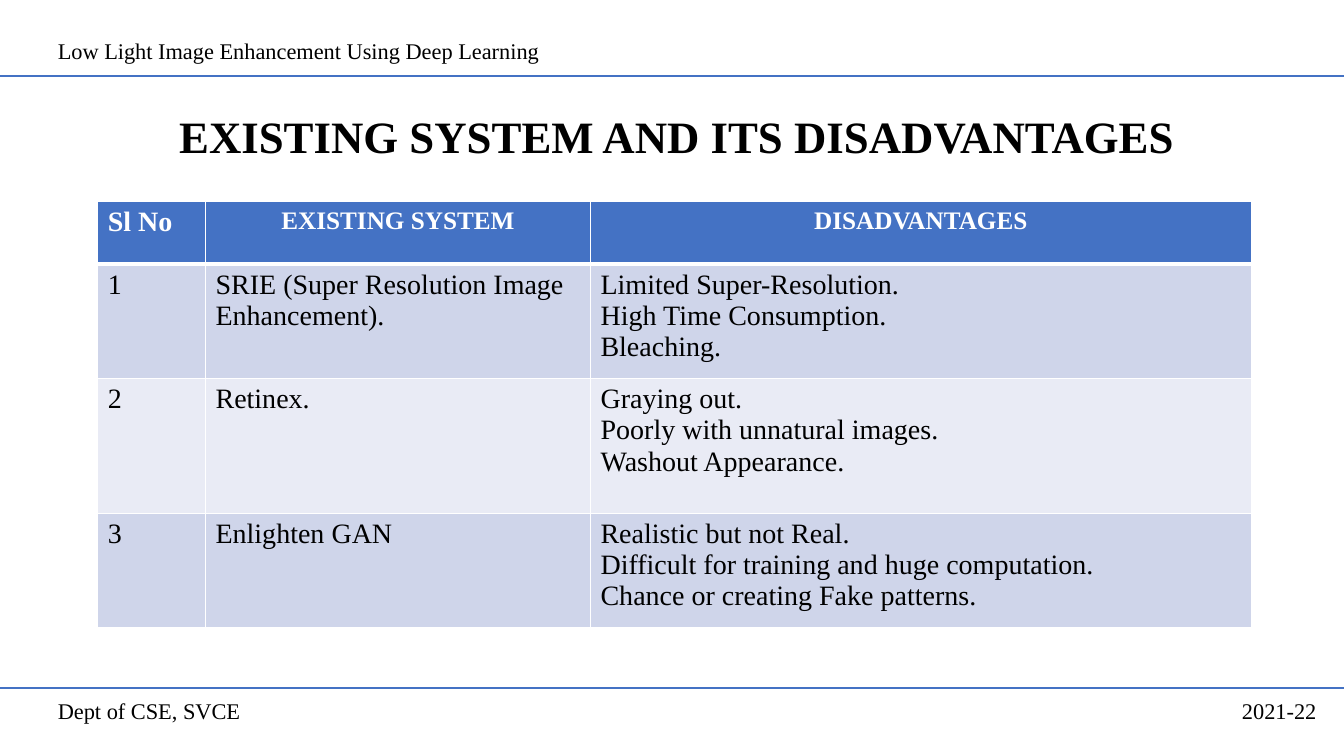
from dataclasses import dataclass

from lxml.etree import SubElement
from pptx import Presentation
from pptx.dml.color import RGBColor as Rgb
from pptx.enum.shapes import MSO_CONNECTOR as Link
from pptx.enum.text import MSO_ANCHOR as Anchor, PP_ALIGN as Align
from pptx.oxml.ns import qn
from pptx.util import Pt

WIDE, HIGH = 960, 540


@dataclass(frozen=True)
class Theme:
    """Colours, type sizes and font of the slide."""
    font: str = "Times New Roman"
    ink: str = "000000"
    blue: str = "4472C4"
    white: str = "FFFFFF"
    bands: tuple = ("CFD5EA", "E9EBF5")
    title: int = 32
    body: int = 20
    head: int = 18
    note: int = 16


class Page:
    """Adds styled elements to one slide."""

    def __init__(self, slide, theme):
        """Keep the slide and its theme."""
        self.slide, self.theme = slide, theme

    def words(self, frame, text, size, color=None, bold=False, **form):
        """Fill a text frame, one paragraph for each line."""
        frame.text = text
        look = {"name": self.theme.font, "size": Pt(size), "bold": bold}
        for para in frame.paragraphs:
            for key, value in form.items():
                setattr(para, key, value)
            for run in para.runs:
                for key, value in look.items():
                    setattr(run.font, key, value)
                run.font.color.rgb = Rgb.from_string(color or self.theme.ink)

    def label(self, box, text, size, anchor=Anchor.MIDDLE, **form):
        """Add a text box at left, top, width, height."""
        frame = self.slide.shapes.add_textbox(*map(Pt, box)).text_frame
        frame.word_wrap, frame.vertical_anchor = True, anchor
        self.words(frame, text, size, **form)

    def rule(self, top):
        """Draw a line across the slide."""
        ends = map(Pt, (0, top, WIDE, top))
        line = self.slide.shapes.add_connector(Link.STRAIGHT, *ends)
        line.line.color.rgb = Rgb.from_string(self.theme.blue)
        line.line.width = Pt(1.5)
        SubElement(line._element.spPr, qn("a:effectLst"))

    def border(self, cell, row):
        """Give a cell white edges, thick below the header."""
        props = cell._tc.get_or_add_tcPr()
        thick = {(0, "lnB"), (1, "lnT")}
        for side in ("lnL", "lnR", "lnT", "lnB"):
            width = Pt(3 if (row, side) in thick else 1)
            edge = SubElement(props, qn(f"a:{side}"), w=str(width))
            fill = SubElement(edge, qn("a:solidFill"))
            SubElement(fill, qn("a:srgbClr"), val=self.theme.white)

    def table(self, left, top, cols, rows, data):
        """Add a table with a header row and banded body rows."""
        look = self.theme
        box = map(Pt, (left, top, sum(cols), sum(rows)))
        grid = self.slide.shapes.add_table(len(rows), len(cols), *box).table
        for col, width in zip(grid.columns, cols):
            col.width = Pt(width)
        for r, (height, texts) in enumerate(zip(rows, data)):
            grid.rows[r].height = Pt(height)
            for c, text in enumerate(texts):
                cell = grid.cell(r, c)
                self.border(cell, r)
                cell.fill.solid()
                shade = look.bands[(r - 1) % 2] if r else look.blue
                cell.fill.fore_color.rgb = Rgb.from_string(shade)
                mid = r == 0 and c > 0
                self.words(cell.text_frame, text,
                           look.head if mid else look.body,
                           color=look.ink if r else look.white, bold=r == 0,
                           alignment=Align.CENTER if mid else Align.LEFT)


DATA = [
    ("Sl No", "EXISTING SYSTEM", "DISADVANTAGES"),
    ("1", "SRIE (Super Resolution Image Enhancement).",
     "Limited Super-Resolution.\nHigh Time Consumption.\nBleaching."),
    ("2", "Retinex.",
     "Graying out.\nPoorly with unnatural images.\nWashout Appearance."),
    ("3", "Enlighten GAN",
     "Realistic but not Real.\nDifficult for training and huge computation.\n"
     "Chance or creating Fake patterns."),
]


def main():
    """Build the slide and save it."""
    deck = Presentation()
    deck.slide_width, deck.slide_height = Pt(WIDE), Pt(HIGH)
    theme = Theme()
    page = Page(deck.slides.add_slide(deck.slide_layouts[6]), theme)
    page.label((69.5, 62.5, 828, 73.5), "EXISTING SYSTEM AND ITS DISADVANTAGES",
               theme.title, bold=True, alignment=Align.CENTER, line_spacing=0.9)
    page.table(69.8, 144, (77, 275, 472), (44.6, 82, 96, 82), DATA)
    for top in (54, 491.5):
        page.rule(top)
    page.label((34.2, 23, 637, 26.6),
               "Low Light Image Enhancement Using Deep Learning",
               theme.note, anchor=Anchor.TOP)
    page.label((34.2, 493.5, 282, 28.5), "Dept of CSE, SVCE", theme.note)
    page.label((678, 494, 269.4, 27.5), "2021-22", theme.note,
               alignment=Align.RIGHT)
    deck.save("out.pptx")


main()
